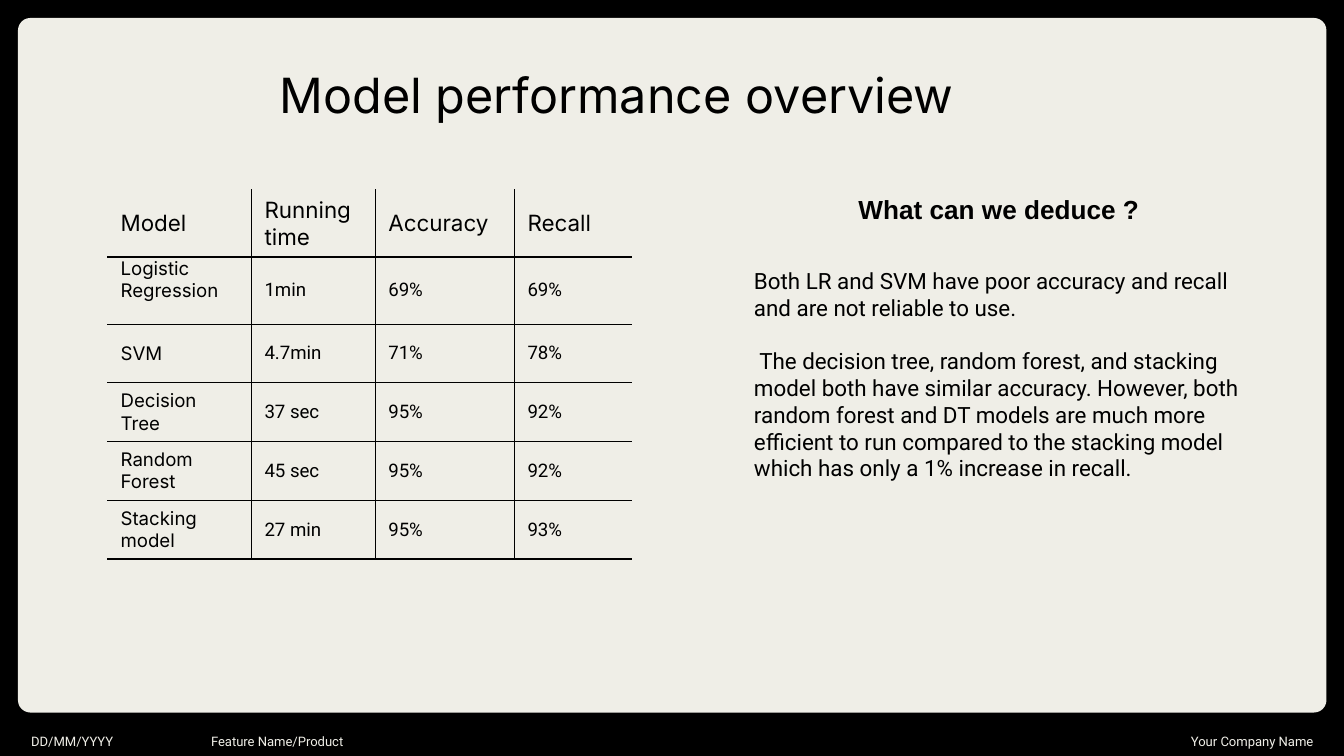
import dataclasses

import lxml.etree
import pptx
import pptx.dml.color
import pptx.enum.shapes
import pptx.enum.text
import pptx.oxml.ns
import pptx.util

Cm = pptx.util.Cm
Align = pptx.enum.text.PP_ALIGN
Anchor = pptx.enum.text.MSO_ANCHOR


@dataclasses.dataclass(frozen=True)
class Theme:
    ink: str = "000000"
    paper: str = "EFEEE7"
    heading_font: str = "Inter"
    body_font: str = "Roboto"
    callout_font: str = "Arial"
    title_size: float = 26
    callout_size: float = 14
    body_size: float = 12
    cell_size: float = 10
    footer_size: float = 7
    border_width: float = 0.75


def rgb(value):
    return pptx.dml.color.RGBColor.from_string(value)


class SlideBuilder:
    def __init__(self, slide, theme):
        self.slide = slide
        self.theme = theme

    def background(self, color):
        fill = self.slide.background.fill
        fill.solid()
        fill.fore_color.rgb = rgb(color)

    def panel(self, left, top, width, height):
        shape = self.slide.shapes.add_shape(
            pptx.enum.shapes.MSO_SHAPE.ROUNDED_RECTANGLE,
            Cm(left), Cm(top), Cm(width), Cm(height))
        shape.adjustments[0] = 0.018
        shape.shadow.inherit = False
        shape.fill.solid()
        shape.fill.fore_color.rgb = rgb(self.theme.paper)
        shape.line.fill.background()

    def style(self, paragraph, font, size, color, bold=False):
        for run in paragraph.runs:
            run.font.name = font
            run.font.size = pptx.util.Pt(size)
            run.font.bold = bold
            run.font.color.rgb = rgb(color)

    def text(self, box, paragraphs, font, size, color=None, bold=False,
             align=Align.LEFT, anchor=Anchor.TOP):
        shape = self.slide.shapes.add_textbox(*map(Cm, box))
        frame = shape.text_frame
        frame.word_wrap = True
        frame.vertical_anchor = anchor
        frame.margin_left = frame.margin_right = Cm(0.25)
        frame.margin_top = frame.margin_bottom = Cm(0.25)
        frame.text = "\n".join(paragraphs)
        for paragraph in frame.paragraphs:
            paragraph.alignment = align
            self.style(paragraph, font, size, color or self.theme.ink, bold)
        return frame

    def footer(self, left, text, align=Align.LEFT):
        self.text((left, 13.49, 3.4, 0.81), [text], self.theme.body_font,
                  self.theme.footer_size, self.theme.paper,
                  align=align, anchor=Anchor.BOTTOM)

    def borders(self, cell, visible):
        """Rule the named sides (L, R, T, B) of a cell and clear the others."""
        properties = cell._tc.get_or_add_tcPr()
        for position, side in enumerate("LRTB"):
            line = lxml.etree.Element(pptx.oxml.ns.qn("a:ln" + side))
            line.set("w", str(int(pptx.util.Pt(self.theme.border_width))))
            if side in visible:
                fill = lxml.etree.SubElement(line, pptx.oxml.ns.qn("a:solidFill"))
                color = lxml.etree.SubElement(fill, pptx.oxml.ns.qn("a:srgbClr"))
                color.set("val", self.theme.ink)
            else:
                lxml.etree.SubElement(line, pptx.oxml.ns.qn("a:noFill"))
            properties.insert(position, line)

    def table(self, left, top, widths, heights, rows):
        table = self.slide.shapes.add_table(
            len(rows), len(widths), Cm(left), Cm(top),
            Cm(sum(widths)), Cm(sum(heights))).table
        table.first_row = table.horz_banding = False
        for column, width in zip(table.columns, widths):
            column.width = Cm(width)
        for row, height in zip(table.rows, heights):
            row.height = Cm(height)
        for row_index, values in enumerate(rows):
            for column_index, value in enumerate(values):
                header = row_index == 0
                cell = table.cell(row_index, column_index)
                cell.text = value
                cell.vertical_anchor = Anchor.MIDDLE
                cell.margin_left = cell.margin_right = Cm(0.25)
                cell.margin_top = cell.margin_bottom = Cm(0.13 if header else 0)
                cell.fill.background()
                sides = "B" if header else "TB"
                if column_index > 0:
                    sides += "L"
                if column_index < len(widths) - 1:
                    sides += "R"
                self.borders(cell, sides)
                heading = header or column_index == 0
                self.style(
                    cell.text_frame.paragraphs[0],
                    self.theme.heading_font if heading else self.theme.body_font,
                    self.theme.body_size if header else self.theme.cell_size,
                    self.theme.ink)
        return table


def main():
    theme = Theme()
    presentation = pptx.Presentation()
    presentation.slide_width = Cm(25.4)
    presentation.slide_height = Cm(14.29)
    slide = presentation.slides.add_slide(presentation.slide_layouts[6])
    builder = SlideBuilder(slide, theme)

    builder.background(theme.ink)
    builder.panel(0.34, 0.34, 24.73, 13.13)
    builder.text((5.03, 0.97, 13.84, 1.6), ["Model performance overview"],
                 theme.heading_font, theme.title_size)

    results = [
        ("Model", "Running time", "Accuracy", "Recall"),
        ("Logistic Regression", "1min", "69%", "69%"),
        ("SVM", "4.7min", "71%", "78%"),
        ("Decision Tree", "37 sec", "95%", "92%"),
        ("Random Forest", "45 sec", "95%", "92%"),
        ("Stacking model", "27 min", "95%", "93%"),
    ]
    table = builder.table(2.03, 3.58, [2.72, 2.34, 2.63, 2.22],
                          [1.27] * 2 + [1.11] * 4, results)
    table.cell(1, 0).margin_bottom = Cm(0.4)

    builder.text((14.27, 3.28, 9.22, 1.22), ["What can we deduce ?"],
                 theme.callout_font, theme.callout_size, bold=True,
                 align=Align.CENTER, anchor=Anchor.BOTTOM)
    findings = builder.text(
        (14, 4.8, 9.75, 4.85),
        ["Both LR and SVM have poor accuracy and recall and are not reliable "
         "to use.",
         "The decision tree, random forest, and stacking model both have "
         "similar accuracy. However, both random forest and DT models are much "
         "more efficient to run compared to the stacking model which has only "
         "a 1% increase in recall."],
        theme.body_font, theme.body_size)
    second_finding = findings.paragraphs[1]
    second_finding.space_before = pptx.util.Pt(14)
    second_finding._p.get_or_add_pPr().set("indent", str(int(Cm(0.1))))

    builder.footer(0.34, "DD/MM/YYYY")
    builder.footer(3.74, "Feature Name/Product")
    builder.footer(21.67, "Your Company Name", Align.RIGHT)

    presentation.save("out.pptx")


if __name__ == "__main__":
    main()
